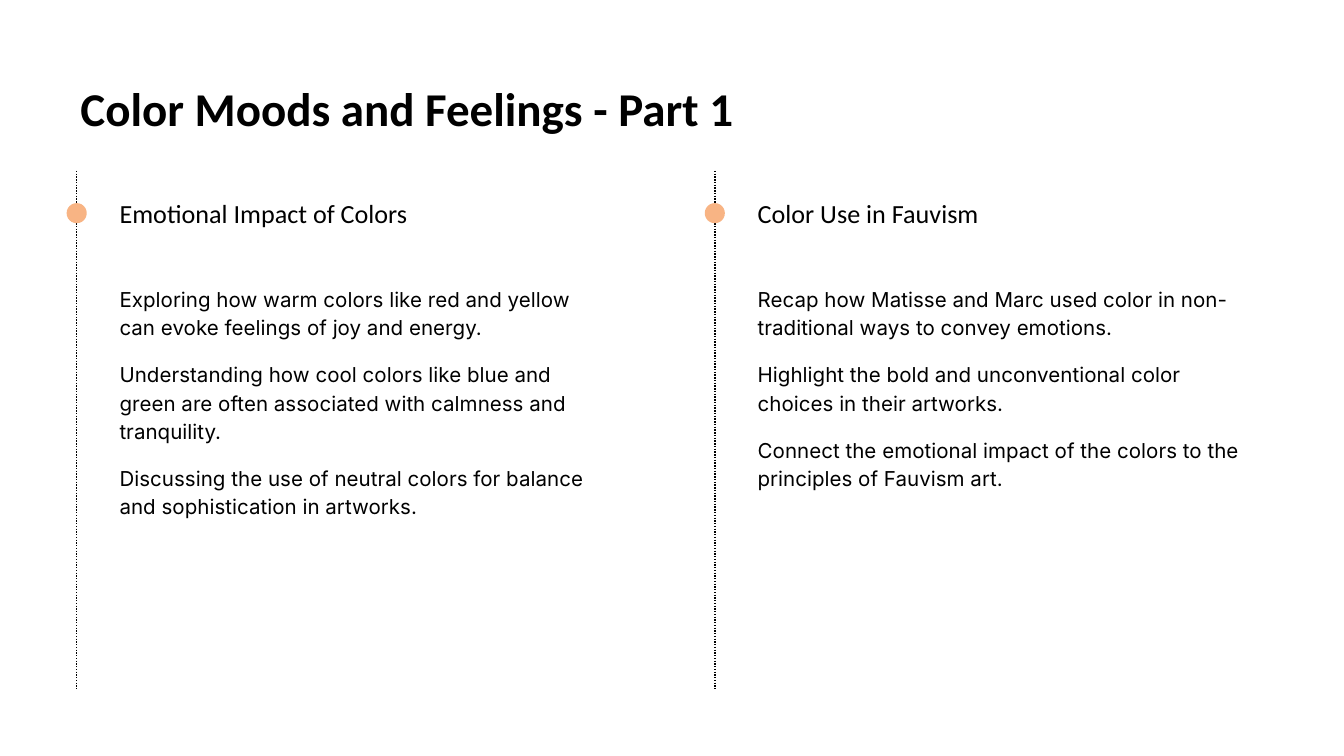
from pptx import Presentation
from pptx.dml.color import RGBColor
from pptx.enum.dml import MSO_LINE_DASH_STYLE as DASH
from pptx.enum.shapes import MSO_CONNECTOR, MSO_SHAPE
from pptx.enum.text import MSO_ANCHOR, MSO_AUTO_SIZE, PP_ALIGN
from pptx.oxml.ns import qn
from pptx.util import Cm, Pt

COLORS = {"text": "000000", "accent": "F8B484"}
TITLE = {"name": "Calibri", "size": Pt(25.2), "bold": True}
HEADING = {"name": "Calibri", "size": Pt(14)}
BODY = {"name": "Inter", "size": Pt(11)}
INSET = Cm(0.25)
TOP = 3.23
LINE_X = 1.45
LINE_BOTTOM = 13.03
COLUMN_STEP = 12.06
DOT = 0.38
DOT_TOP = 3.84
TEXT_OFFSET = 0.56
TEXT_WIDTH = 9.65

COLUMNS = [
    ("Emotional Impact of Colors", [
        "Exploring how warm colors like red and yellow can evoke feelings of joy and energy.",
        "Understanding how cool colors like blue and green are often associated with calmness and tranquility.",
        "Discussing the use of neutral colors for balance and sophistication in artworks.",
    ]),
    ("Color Use in Fauvism", [
        "Recap how Matisse and Marc used color in non-traditional ways to convey emotions.",
        "Highlight the bold and unconventional color choices in their artworks.",
        "Connect the emotional impact of the colors to the principles of Fauvism art.",
    ]),
]


def rgb(key):
    return RGBColor.from_string(COLORS[key])


def set_attrs(obj, values):
    for name, value in values.items():
        setattr(obj, name, value)


def fill_text(sp, paragraphs, font, anchor, spacing=1.0, gap=0):
    tf = sp.text_frame
    set_attrs(tf, {
        "word_wrap": True, "auto_size": MSO_AUTO_SIZE.NONE,
        "vertical_anchor": anchor,
        "margin_left": INSET, "margin_right": INSET,
        "margin_top": INSET, "margin_bottom": INSET,
    })
    for i, text in enumerate(paragraphs):
        p = tf.add_paragraph() if i else tf.paragraphs[0]
        set_attrs(p, {
            "alignment": PP_ALIGN.LEFT, "line_spacing": spacing,
            "space_before": Pt(gap if i else 0),
        })
        r = p.add_run()
        r.text = text
        set_attrs(r.font, font)
        r.font.color.rgb = rgb("text")


def add_title(s, text):
    sp = s.shapes.title
    set_attrs(sp, {"left": Cm(1.27), "top": Cm(1.24),
                   "width": Cm(22.86), "height": Cm(1.6)})
    fill_text(sp, [text], TITLE, MSO_ANCHOR.MIDDLE)


def add_text(s, x, y, height, *args, **kwargs):
    sp = s.shapes.add_textbox(Cm(x), Cm(y), Cm(TEXT_WIDTH), Cm(height))
    fill_text(sp, *args, **kwargs)


def add_dotted_line(s, x):
    line = s.shapes.add_connector(
        MSO_CONNECTOR.STRAIGHT, Cm(x), Cm(TOP), Cm(x), Cm(LINE_BOTTOM))
    line.line.color.rgb = rgb("text")
    set_attrs(line.line, {"width": Pt(0.75), "dash_style": DASH.ROUND_DOT})
    spPr = line._element.spPr
    spPr.append(spPr.makeelement(qn("a:effectLst"), {}))


def add_dot(s, x):
    dot = s.shapes.add_shape(
        MSO_SHAPE.OVAL, Cm(x - DOT / 2), Cm(DOT_TOP), Cm(DOT), Cm(DOT))
    dot.shadow.inherit = False
    dot.fill.solid()
    dot.fill.fore_color.rgb = rgb("accent")
    dot.line.fill.background()


def add_column(s, x, heading, points):
    add_dotted_line(s, x)
    add_dot(s, x)
    left = x + TEXT_OFFSET
    add_text(s, left, TOP, 1.6, [heading], HEADING, MSO_ANCHOR.MIDDLE)
    add_text(s, left, 5.11, 7.59, points, BODY, MSO_ANCHOR.TOP,
             spacing=1.15, gap=10)


def main():
    prs = Presentation()
    set_attrs(prs, {"slide_width": Cm(25.4), "slide_height": Cm(14.29)})
    s = prs.slides.add_slide(prs.slide_layouts[5])
    add_title(s, "Color Moods and Feelings - Part 1")
    for i, (heading, points) in enumerate(COLUMNS):
        add_column(s, LINE_X + i * COLUMN_STEP, heading, points)
    prs.save("out.pptx")


if __name__ == "__main__":
    main()
